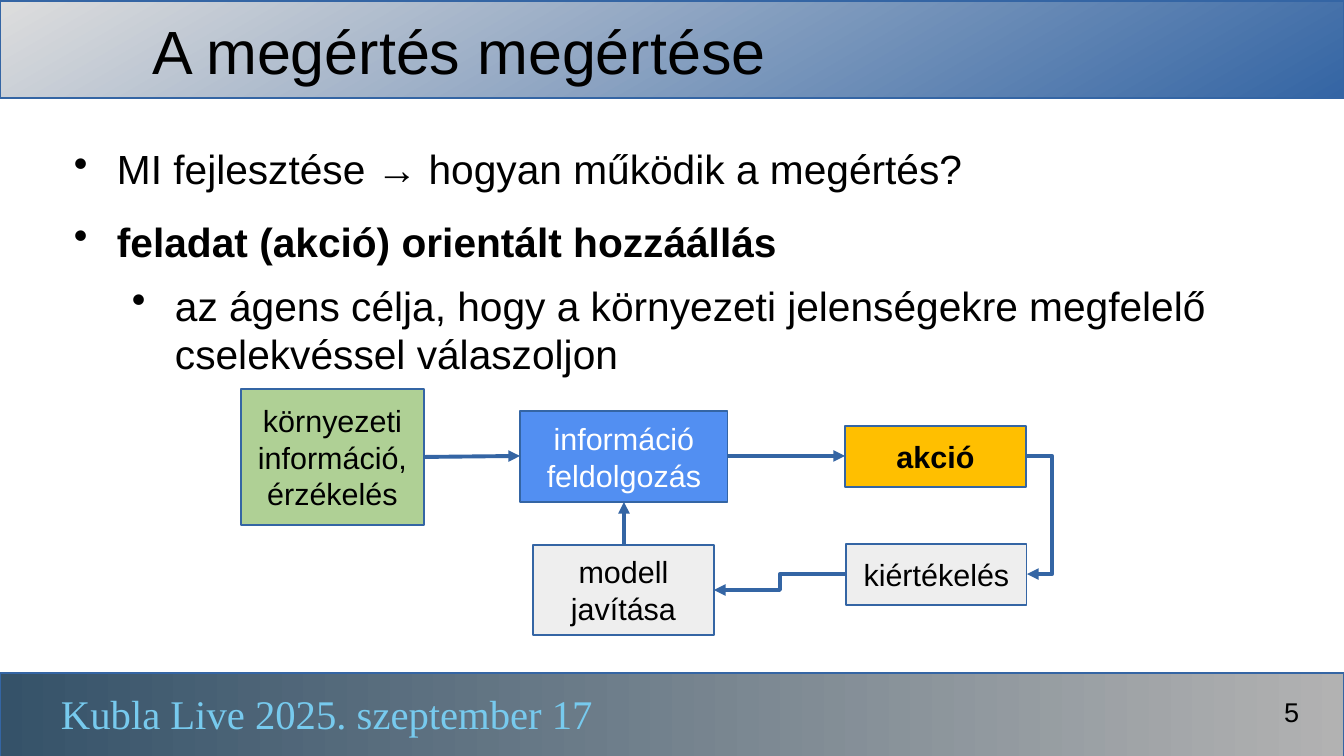
"""Build the slide on understanding, with its action loop diagram."""
from lxml import etree
from pptx import Presentation
from pptx.dml.color import RGBColor
from pptx.enum.shapes import MSO_CONNECTOR, MSO_SHAPE
from pptx.enum.text import MSO_ANCHOR, PP_ALIGN
from pptx.oxml.ns import qn
from pptx.util import Pt

PX = 914400 / 122
RECT = MSO_SHAPE.RECTANGLE
STRAIGHT, ELBOW = MSO_CONNECTOR.STRAIGHT, MSO_CONNECTOR.ELBOW
TOP, MIDDLE = MSO_ANCHOR.TOP, MSO_ANCHOR.MIDDLE
LEFT, CENTER, RIGHT = PP_ALIGN.LEFT, PP_ALIGN.CENTER, PP_ALIGN.RIGHT

BLACK = RGBColor(0x00, 0x00, 0x00)
WHITE = RGBColor(0xFF, 0xFF, 0xFF)
BLUE = RGBColor(0x34, 0x65, 0xA4)
SILVER = RGBColor(0xDD, 0xDD, 0xDD)
SLATE = RGBColor(0x35, 0x52, 0x69)
GRAY = RGBColor(0xB2, 0xB2, 0xB2)
GREEN = RGBColor(0xAF, 0xD0, 0x95)
AZURE = RGBColor(0x52, 0x8F, 0xF2)
AMBER = RGBColor(0xFF, 0xBF, 0x00)
PALE = RGBColor(0xEE, 0xEE, 0xEE)
SKY = RGBColor(0x77, 0xCA, 0xEE)


def px(*lengths):
    return [round(n * PX) for n in lengths]


def write(sp, text, size=18, color=BLACK, font="Arial", bold=False,
          align=LEFT, anchor=TOP, inset=(0, 0)):
    tf = sp.text_frame
    tf.word_wrap = True
    tf.vertical_anchor = anchor
    tf.margin_left = tf.margin_right = px(inset[0])[0]
    tf.margin_top = tf.margin_bottom = px(inset[1])[0]
    for i, line in enumerate(text.split("\n")):
        p = tf.add_paragraph() if i else tf.paragraphs[0]
        p.alignment = align
        r = p.add_run()
        r.text = line
        r.font.size = Pt(size)
        r.font.name = font
        r.font.bold = bold
        r.font.color.rgb = color
    return tf


prs = Presentation()
prs.slide_width, prs.slide_height = px(1344, 756)
s = prs.slides.add_slide(prs.slide_layouts[6])

bands = [
    (673, 84, SLATE, GRAY, 0),
    (1, 97, SILVER, BLUE, 300),
]
for y, h, start, end, angle in bands:
    sp = s.shapes.add_shape(RECT, *px(0, y, 1344, h))
    sp.shadow.inherit = False
    sp.fill.gradient()
    sp.fill.gradient_angle = angle
    for stop, color in zip(sp.fill.gradient_stops, (start, end)):
        stop.color.rgb = color
    sp.line.color.rgb = BLUE
    sp.line.width = Pt(0)

write(s.shapes.add_textbox(*px(152, 16, 1151, 68)), "A megértés megértése",
      size=36, anchor=MIDDLE)
write(s.shapes.add_textbox(*px(61, 689, 825, 52)),
      "Kubla Live 2025. szeptember 17", size=24, color=SKY,
      font="Times New Roman")
write(s.shapes.add_textbox(*px(1095, 689, 216, 45)), "5", size=16,
      align=RIGHT, inset=(12, 6))

bullets = [
    ("MI fejlesztése → hogyan működik a megértés?", 57, 0, False),
    ("feladat (akció) orientált hozzáállás", 57, 14.2, True),
    ("az ágens célja, hogy a környezeti jelenségekre megfelelő "
     "cselekvéssel válaszoljon", 115, 8.7, False),
]
body = s.shapes.add_textbox(*px(60, 144, 1210, 240))
tf = write(body, "\n".join(b[0] for b in bullets), size=24)
for p, (text, indent, before, bold) in zip(tf.paragraphs, bullets):
    pPr = p._p.get_or_add_pPr()
    pPr.set("marL", str(px(indent)[0]))
    pPr.set("indent", str(px(-43)[0]))
    etree.SubElement(pPr, qn("a:buChar")).set("char", "•")
    p.space_before = Pt(before)
    p.runs[0].font.bold = bold

boxes = [
    ("környezeti információ,\nérzékelés", 241, 389, 183, 136, GREEN, BLACK, False),
    ("információ\nfeldolgozás", 520, 411, 208, 91, AZURE, WHITE, False),
    ("akció", 845, 426, 181, 61, AMBER, BLACK, True),
    ("kiértékelés", 846, 544, 181, 61, PALE, BLACK, False),
    ("modell javítása", 533, 545, 181, 90, PALE, BLACK, False),
]
for text, x, y, w, h, fill, color, bold in boxes:
    sp = s.shapes.add_shape(RECT, *px(x, y, w, h))
    sp.shadow.inherit = False
    sp.fill.solid()
    sp.fill.fore_color.rgb = fill
    sp.line.color.rgb = BLUE
    sp.line.width = Pt(0)
    write(sp, text, color=color, bold=bold, align=CENTER, anchor=MIDDLE,
          inset=(12, 6))

arrows = [
    (STRAIGHT, 424, 457, 520, 456, None),
    (STRAIGHT, 728, 456, 845, 456, None),
    (ELBOW, 1026, 456, 1027, 574, 26),
    (ELBOW, 846, 574, 714, 590, None),
    (STRAIGHT, 624, 545, 624, 502, None),
]
for kind, x1, y1, x2, y2, bend in arrows:
    c = s.shapes.add_connector(kind, *px(x1, y1, x2, y2))
    c.line.color.rgb = BLUE
    c.line.width = Pt(2.3)
    spPr = c._element.spPr
    etree.SubElement(spPr.find(qn("a:ln")), qn("a:tailEnd")).set("type", "triangle")
    etree.SubElement(spPr, qn("a:effectLst"))
    if bend:
        gd = etree.SubElement(spPr.find(qn("a:prstGeom")).find(qn("a:avLst")), qn("a:gd"))
        gd.set("name", "adj1")
        gd.set("fmla", f"val {bend * 100000}")

prs.save("out.pptx")
